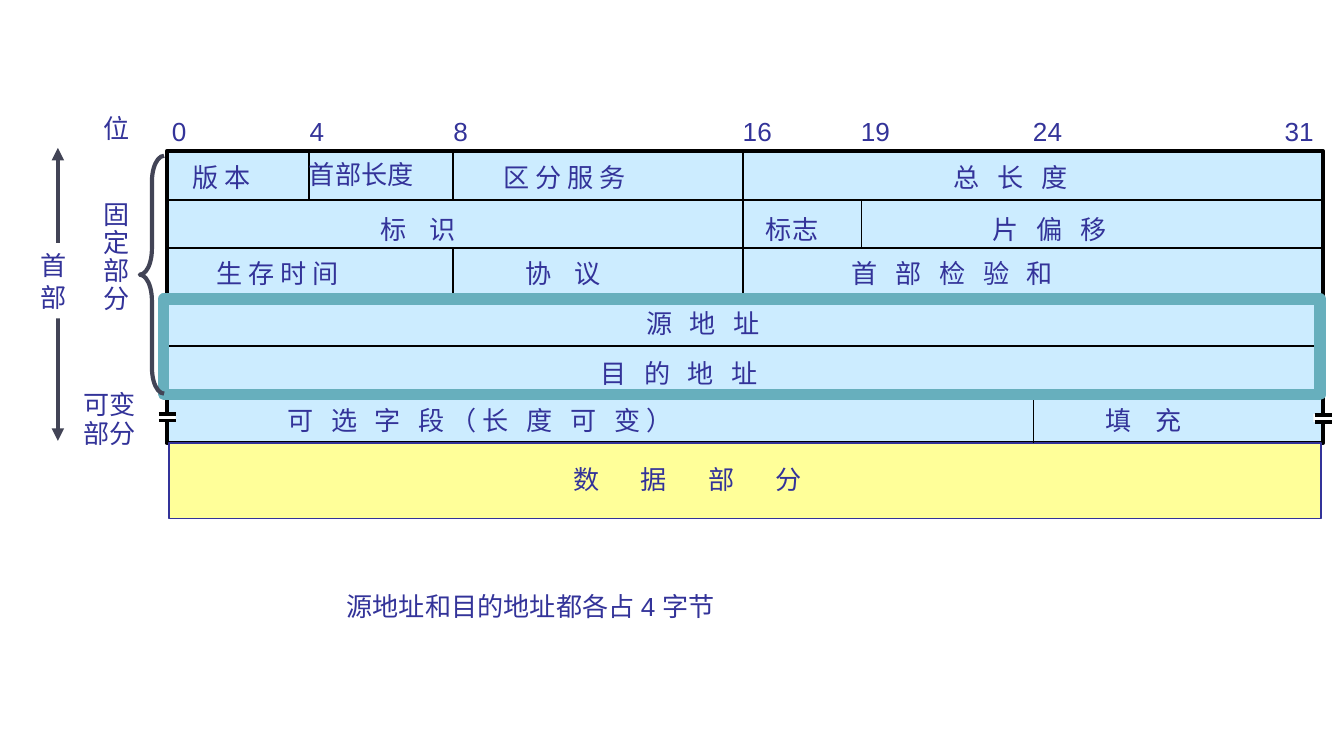
"""Build a slide showing the layout of the IP datagram header."""
from dataclasses import dataclass

from lxml import etree
from pptx import Presentation
from pptx.dml.color import RGBColor
from pptx.enum.shapes import MSO_CONNECTOR, MSO_SHAPE
from pptx.enum.text import MSO_AUTO_SIZE
from pptx.oxml.ns import qn
from pptx.shapes.autoshape import Shape
from pptx.shapes.connector import Connector
from pptx.shapes.shapetree import SlideShapes
from pptx.util import Pt

RECTANGLE = MSO_SHAPE.RECTANGLE
LEFT_BRACE = MSO_SHAPE.LEFT_BRACE
STRAIGHT = MSO_CONNECTOR.STRAIGHT
FIT_SHAPE = MSO_AUTO_SIZE.SHAPE_TO_FIT_TEXT


@dataclass(frozen=True)
class Theme:
    font: str = "Arial"
    size: float = 14
    ink: str = "333399"
    rule: str = "000000"
    bracket: str = "424456"
    header: str = "CCECFF"
    payload: str = "FFFF99"
    highlight: str = "67AFBD"
    paper: str = "FFFFFF"
    thin: float = 1
    border: float = 2
    bracket_width: float = 2.25
    highlight_width: float = 6


@dataclass(frozen=True)
class Box:
    left: float
    top: float
    width: float
    height: float


@dataclass(frozen=True)
class Label:
    text: str
    left: float
    top: float
    width: float
    height: float = 24
    spread: float = 0
    line_spacing: float = 1
    fill: str = ""


@dataclass(frozen=True)
class Divider:
    bit: int
    first_row: int
    last_row: int


THEME = Theme()
TOP, ROW_HEIGHT, ROWS = 80.9, 26.1, 6
BIT_X = {0: 89.3, 4: 165.6, 8: 242.6, 16: 398.2, 19: 461.5, 24: 553.7, 32: 708.8}
BIT_TOP = 58.3
WIDE, WIDER, WIDEST = 3.15, 4.7, 9.45

DIVIDERS = (
    Divider(4, 0, 1), Divider(8, 0, 1), Divider(8, 2, 3),
    Divider(16, 0, 3), Divider(24, 5, 6), Divider(19, 1, 2),
)
BIT_LABELS = (
    Label("0", 85, BIT_TOP, 22.3),
    *(Label(str(bit), BIT_X[bit] - 6.8, BIT_TOP, 22.3) for bit in (4, 8)),
    *(Label(str(bit), BIT_X[bit] - 7.4, BIT_TOP, 30.2) for bit in (16, 19, 24)),
    Label("31", 681.1, BIT_TOP, 30.2),
)
FIELD_LABELS = (
    Label("版 本", 95.8, 82.8, 49.7),
    Label("首部长度", 158.4, 81.4, 70.6),
    Label("区 分 服 务", 262.8, 82.8, 91.4),
    Label("总 长 度", 504, 82.8, 98.6, spread=WIDE),
    Label("标 识", 196.6, 110.9, 70.6, spread=WIDER),
    Label("标志", 403.2, 110.9, 42.5),
    Label("片 偏 移", 524.9, 110.9, 98.6, spread=WIDE),
    Label("生 存 时 间", 108.7, 134.6, 91.4),
    Label("协 议", 274.3, 134.6, 70.6, spread=WIDER),
    Label("首 部 检 验 和", 449.3, 134.6, 168.5, spread=WIDE),
    Label("源 地 址", 339.1, 161.3, 98.6, spread=WIDE),
    Label("目 的 地 址", 314.6, 187.9, 133.9, spread=WIDE),
    Label("可 选 字 段（长 度 可 变）", 146.9, 213.1, 295.2, spread=WIDE),
    Label("填 充", 585.4, 213.1, 70.6, spread=WIDER),
    Label("数 据 部 分", 300.2, 244.8, 229, spread=WIDEST),
)
SIDE_LABELS = (
    Label("位", 48.2, 56.9, 28.1),
    Label("固\n定\n部\n分", 48.2, 104.4, 28.1, 67.7, line_spacing=0.9),
    Label("可变\n部分", 37.4, 206.6, 42.5, 37.4, line_spacing=0.9),
    Label("源地址和目的地址都各占 4 字节", 178.6, 312.5, 222.5),
)
HEADER_LABEL = Label("首\n部", 14.4, 130.3, 28.1, 40.3, fill=THEME.paper)
BREAKS = (Box(84.4, 221, 9.8, 4.3), Box(703.6, 221.8, 9.8, 4.3))


def row_y(row: int) -> float:
    """Return the top edge of a header row."""
    return TOP + row * ROW_HEIGHT


def add_shape(shapes: SlideShapes, kind: int, box: Box, fill: str = "",
              line: str = "", width: float = 0) -> Shape:
    """Draw a preset shape with optional fill and outline."""
    shape = shapes.add_shape(kind, Pt(box.left), Pt(box.top), Pt(box.width), Pt(box.height))
    shape.shadow.inherit = False
    if fill:
        shape.fill.solid()
        shape.fill.fore_color.rgb = RGBColor.from_string(fill)
    else:
        shape.fill.background()
    if line:
        shape.line.color.rgb = RGBColor.from_string(line)
        shape.line.width = Pt(width)
    else:
        shape.line.fill.background()
    return shape


def add_line(shapes: SlideShapes, x1: float, y1: float, x2: float, y2: float,
             color: str = THEME.rule, width: float = THEME.thin) -> Connector:
    """Draw a straight line without a shadow."""
    line = shapes.add_connector(STRAIGHT, Pt(x1), Pt(y1), Pt(x2), Pt(y2))
    line.line.color.rgb = RGBColor.from_string(color)
    line.line.width = Pt(width)
    etree.SubElement(line._element.spPr, qn("a:effectLst"))
    return line


def add_label(shapes: SlideShapes, label: Label) -> None:
    """Draw a label, spreading its characters where asked."""
    holder = shapes.add_textbox(Pt(label.left), Pt(label.top), Pt(label.width), Pt(label.height))
    if label.fill:
        holder.fill.solid()
        holder.fill.fore_color.rgb = RGBColor.from_string(label.fill)
    frame = holder.text_frame
    frame.word_wrap = False
    frame.auto_size = FIT_SHAPE
    frame.text = label.text
    for paragraph in frame.paragraphs:
        paragraph.line_spacing = label.line_spacing
        for run in paragraph.runs:
            run.font.name = THEME.font
            run.font.size = Pt(THEME.size)
            run.font.color.rgb = RGBColor.from_string(THEME.ink)
            if label.spread:
                run._r.get_or_add_rPr().set("spc", str(round(label.spread * 100)))


def add_extent(shapes: SlideShapes) -> None:
    """Draw the double arrow spanning the header, with its label."""
    arrow = add_line(shapes, 31, 79.2, 31, 236.2, THEME.bracket, THEME.bracket_width)
    for end in ("a:headEnd", "a:tailEnd"):
        etree.SubElement(arrow.get_or_add_ln(), qn(end), type="triangle")
    add_label(shapes, HEADER_LABEL)


def add_grid(shapes: SlideShapes) -> None:
    """Draw the header and payload areas with their dividing lines."""
    left, right = BIT_X[0], BIT_X[32]
    header = Box(left, TOP, right - left, ROWS * ROW_HEIGHT)
    add_shape(shapes, RECTANGLE, header, THEME.header, THEME.rule, THEME.border)
    payload = Box(90.7, row_y(ROWS), 617, 40.3)
    add_shape(shapes, RECTANGLE, payload, THEME.payload, THEME.ink, THEME.thin)
    for row in range(1, ROWS):
        add_line(shapes, left, row_y(row), right, row_y(row))
    for divider in DIVIDERS:
        x = BIT_X[divider.bit]
        add_line(shapes, x, row_y(divider.first_row), x, row_y(divider.last_row))


def add_break(shapes: SlideShapes, box: Box) -> None:
    """Draw a break mark across the header border."""
    add_shape(shapes, RECTANGLE, box, THEME.paper)
    for y in (box.top + 0.7, box.top + box.height):
        add_line(shapes, box.left + 0.7, y, box.left + box.width, y, width=THEME.border)


def main() -> None:
    """Build and save the slide."""
    deck = Presentation()
    deck.slide_width, deck.slide_height = Pt(720), Pt(405)
    shapes = deck.slides.add_slide(deck.slide_layouts[6]).shapes
    add_extent(shapes)
    add_grid(shapes)
    for label in BIT_LABELS + FIELD_LABELS + SIDE_LABELS:
        add_label(shapes, label)
    for box in BREAKS:
        add_break(shapes, box)
    addresses = Box(87.8, 160.2, 619.4, 51.1)
    add_shape(shapes, RECTANGLE, addresses, line=THEME.highlight, width=THEME.highlight_width)
    brace = add_shape(shapes, LEFT_BRACE, Box(74.9, 83.5, 13, 127.4),
                      line=THEME.bracket, width=THEME.bracket_width)
    brace.adjustments[0] = 1.06
    deck.save("out.pptx")


if __name__ == "__main__":
    main()
